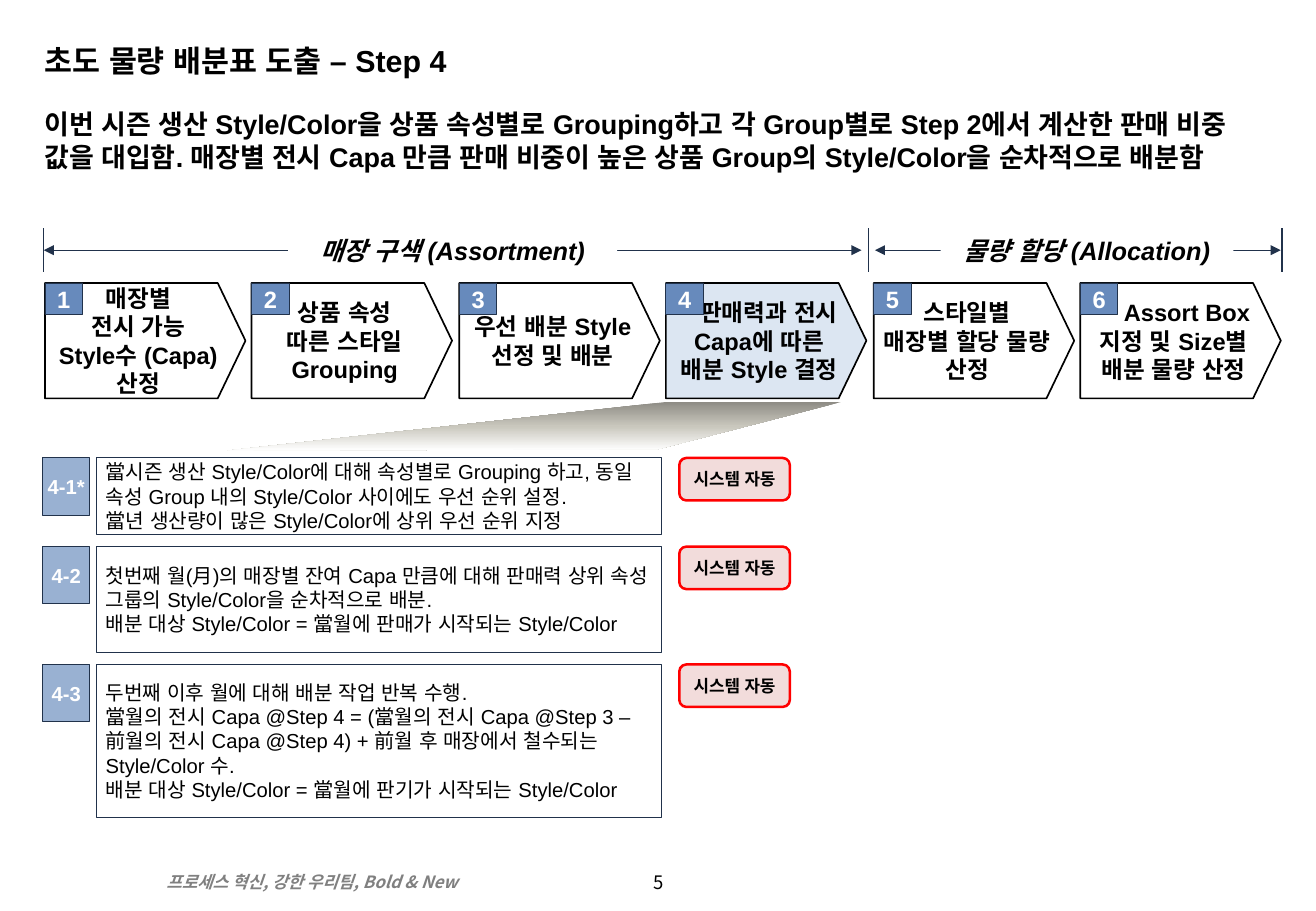
from lxml import etree
from pptx import Presentation
from pptx.dml.color import RGBColor
from pptx.enum.shapes import MSO_CONNECTOR, MSO_SHAPE
from pptx.enum.text import MSO_ANCHOR, PP_ALIGN
from pptx.oxml import parse_xml
from pptx.oxml.ns import nsdecls, qn
from pptx.util import Pt

PX = 9144
ARIAL, NOTO = "Arial", "Noto Sans CJK KR"
BLACK = RGBColor(0x00, 0x00, 0x00)
WHITE = RGBColor(0xFF, 0xFF, 0xFF)
GRAY = RGBColor(0x80, 0x80, 0x80)
NAVY = RGBColor(0x21, 0x32, 0x4B)
BLUE = RGBColor(0x67, 0x8A, 0xBC)
SOFT_BLUE = RGBColor(0x99, 0xB1, 0xD2)
PALE_BLUE = RGBColor(0xDC, 0xE6, 0xF2)
PINK = RGBColor(0xF2, 0xDC, 0xDB)
RED = RGBColor(0xFF, 0x00, 0x00)
RECT, ROUNDED, PENTAGON = MSO_SHAPE.RECTANGLE, MSO_SHAPE.ROUNDED_RECTANGLE, MSO_SHAPE.PENTAGON
STRAIGHT = MSO_CONNECTOR.STRAIGHT
TOP, MIDDLE, BOTTOM = MSO_ANCHOR.TOP, MSO_ANCHOR.MIDDLE, MSO_ANCHOR.BOTTOM
LEFT, CENTER = PP_ALIGN.LEFT, PP_ALIGN.CENTER

FUNNEL_STOPS = [(0, "8E8C85"), (50, "C9C7BD"), (100, "FFFFFF")]
SPANS = [
    ("매장 구색 (Assortment)", 36, 709, 237, 271),
    ("물량 할당 (Allocation)", 720, 1054, 774, 241),
]
TICKS = [36, 715, 1055]
STEPS = [
    (["매장별\v전시 가능", "Style수 (Capa) 산정"], 0, WHITE),
    (["상품 속성", "따른 스타일 Grouping"], 0, WHITE),
    (["우선 배분 Style 선정 및 배분"], 0, WHITE),
    (["판매력과 전시 Capa에 따른 배분 Style 결정"], 16, PALE_BLUE),
    (["스타일별", "매장별 할당 물량 산정"], 0, WHITE),
    (["Assort Box 지정 및 Size별 배분 물량 산정"], 22, WHITE),
]
DETAILS = [
    ("4-1*", 377, 63, [
        "當시즌 생산 Style/Color에 대해 속성별로 Grouping 하고, 동일 속성 Group 내의 "
        "Style/Color 사이에도 우선 순위 설정.",
        "當년 생산량이 많은 Style/Color에 상위 우선 순위 지정"]),
    ("4-2", 450, 87, [
        "첫번째 월(月)의 매장별 잔여 Capa 만큼에 대해 판매력 상위 속성 그룹의 "
        "Style/Color을 순차적으로 배분.",
        "배분 대상 Style/Color = 當월에 판매가 시작되는 Style/Color"]),
    ("4-3", 547, 126, [
        "두번째 이후 월에 대해 배분 작업 반복 수행.",
        "當월의 전시 Capa @Step 4 = (當월의 전시 Capa @Step 3 – 前월의 전시 Capa @Step 4) "
        "+ 前월 후 매장에서 철수되는 Style/Color 수.",
        "배분 대상 Style/Color = 當월에 판기가 시작되는 Style/Color"]),
]


def write(sp, lines, size, color=BLACK, align=CENTER, anchor=MIDDLE, inset=(10, 0),
          indent=0, wrap=True, face=ARIAL, bold=True, italic=False):
    """Fill a shape with formatted paragraphs."""
    tf = sp.text_frame
    dx, dy = (n * PX for n in inset)
    frame = {"word_wrap": wrap, "vertical_anchor": anchor, "margin_left": dx,
             "margin_right": dx, "margin_top": dy, "margin_bottom": dy}
    for name, value in frame.items():
        setattr(tf, name, value)
    tf.text = "\n".join(lines)
    font = {"name": face, "size": Pt(size), "bold": bold, "italic": italic}
    for p in tf.paragraphs:
        p.alignment = align
        if indent:
            p._p.get_or_add_pPr().set("indent", str(indent * PX))
        for r in p.runs:
            for name, value in font.items():
                setattr(r.font, name, value)
            r.font.color.rgb = color
            etree.SubElement(r._r.get_or_add_rPr(), qn("a:ea")).set("typeface", face)


def add_text(slide, box, lines, size, **style):
    """Add a text box."""
    sp = slide.shapes.add_textbox(*(n * PX for n in box))
    write(sp, lines, size, **style)
    return sp


def add_box(slide, kind, box, fill=None, line=None, weight=0.5):
    """Add a flat shape with an optional fill and outline."""
    sp = slide.shapes.add_shape(kind, *(n * PX for n in box))
    sp.shadow.inherit = False
    if fill is None:
        sp.fill.background()
    else:
        sp.fill.solid()
        sp.fill.fore_color.rgb = fill
    if line is None:
        sp.line.fill.background()
    else:
        sp.line.color.rgb = line
        sp.line.width = Pt(weight)
    return sp


def add_line(slide, x1, y1, x2, y2, arrows=False):
    """Add a straight line, with arrowheads at both ends if asked."""
    sp = slide.shapes.add_connector(STRAIGHT, *(n * PX for n in (x1, y1, x2, y2)))
    sp.line.color.rgb = NAVY
    sp.line.width = Pt(0.75)
    if arrows:
        for end in ("a:headEnd", "a:tailEnd"):
            etree.SubElement(sp.line._get_or_add_ln(), qn(end)).set("type", "triangle")
    etree.SubElement(sp._element.spPr, qn("a:effectLst"))


def add_header(slide, x, y, w):
    """Place the title and the lead message."""
    add_text(slide, (x, y, w, 46), ["초도 물량 배분표 도출 – Step 4"], 18,
             align=LEFT, anchor=BOTTOM, inset=(10, 5))
    lead = ("이번 시즌 생산 Style/Color을 상품 속성별로 Grouping하고 각 Group별로 Step 2에서 "
            "계산한 판매 비중 값을 대입함. 매장별 전시 Capa 만큼 판매 비중이 높은 상품 "
            "Group의 Style/Color을 순차적으로 배분함")
    add_text(slide, (x, y + 60, w + 2, 83), [lead], 16,
             align=LEFT, anchor=TOP, inset=(10, 5))


def add_spans(slide, y, h):
    """Place the two labelled phase arrows between their ticks."""
    for label, start, end, x, w in SPANS:
        add_line(slide, start, y + 22, end, y + 22, arrows=True)
        sp = add_box(slide, RECT, (x, y, w, h), WHITE)
        write(sp, [label], 15, italic=True)
    for x in TICKS:
        add_line(slide, x, y + 4, x, y + 40)


def add_steps(slide, x, y, w, h):
    """Place the numbered row of process arrows."""
    for i, (lines, indent, fill) in enumerate(STEPS):
        left = x + round(i * 170.4)
        sp = add_box(slide, PENTAGON, (left, y, w, h), fill, BLACK, 1)
        sp.adjustments[0] = 0.24
        write(sp, lines, 14, inset=(6, 0), indent=indent)
        sp = add_box(slide, RECT, (left, y, 31, 26), BLUE, NAVY)
        write(sp, [str(i + 1)], 14, color=WHITE)


def add_funnel(slide, x, y):
    """Place the shaded wedge leading from step 4 to its details."""
    builder = slide.shapes.build_freeform(x + 361, y, scale=PX)
    builder.add_line_segments([(x, y + 40), (x + 354, y + 39), (x + 505, y)])
    sp = builder.convert_to_shape()
    sp.shadow.inherit = False
    sp.line.fill.background()
    stops = "".join(f'<a:gs pos="{pos * 1000}"><a:srgbClr val="{color}"/></a:gs>'
                    for pos, color in FUNNEL_STOPS)
    grad = parse_xml(f'<a:gradFill {nsdecls("a")} rotWithShape="1"><a:gsLst>{stops}</a:gsLst>'
                     '<a:lin ang="5400000" scaled="0"/></a:gradFill>')
    sp._element.spPr.find(qn("a:custGeom")).addnext(grad)


def add_detail(slide, x, y, h, number, lines):
    """Place one detail row: number, description and system tag."""
    sp = add_box(slide, RECT, (x, y, 39, 47), SOFT_BLUE, NAVY)
    write(sp, [number], 12, color=WHITE, inset=(0, 0))
    sp = add_box(slide, RECT, (x + 44, y, 465, h), None, NAVY)
    write(sp, lines, 12, align=LEFT, inset=(8, 5), bold=False)
    sp = add_box(slide, ROUNDED, (x + 524, y, 91, 35), PINK, RED, 1.5)
    write(sp, ["시스템 자동"], 10, inset=(6, 0), wrap=False)


def add_footer(slide, x, y):
    """Place the slogan and the page number."""
    add_text(slide, (x, y, 332, 27), ["프로세스 혁신, 강한 우리팀, Bold & New"], 10, color=GRAY,
             align=LEFT, anchor=TOP, inset=(10, 5), face=NOTO, italic=True)
    sp = add_text(slide, (x + 365, y, 100, 30), ["5"], 11, inset=(10, 5), face=NOTO, bold=False)
    sp.text_frame.paragraphs[0].line_spacing = 0.8


def main():
    """Build and save the slide."""
    prs = Presentation()
    prs.slide_width, prs.slide_height = 1083 * PX, 750 * PX
    slide = prs.slides.add_slide(prs.slide_layouts[6])
    add_footer(slide, 127, 713)
    add_header(slide, 27, 24, 1024)
    add_funnel(slide, 187, 331)
    add_spans(slide, 184, 44)
    add_steps(slide, 37, 233, 165, 95)
    for number, y, h, lines in DETAILS:
        add_detail(slide, 35, y, h, number, lines)
    prs.save("out.pptx")


if __name__ == "__main__":
    main()
